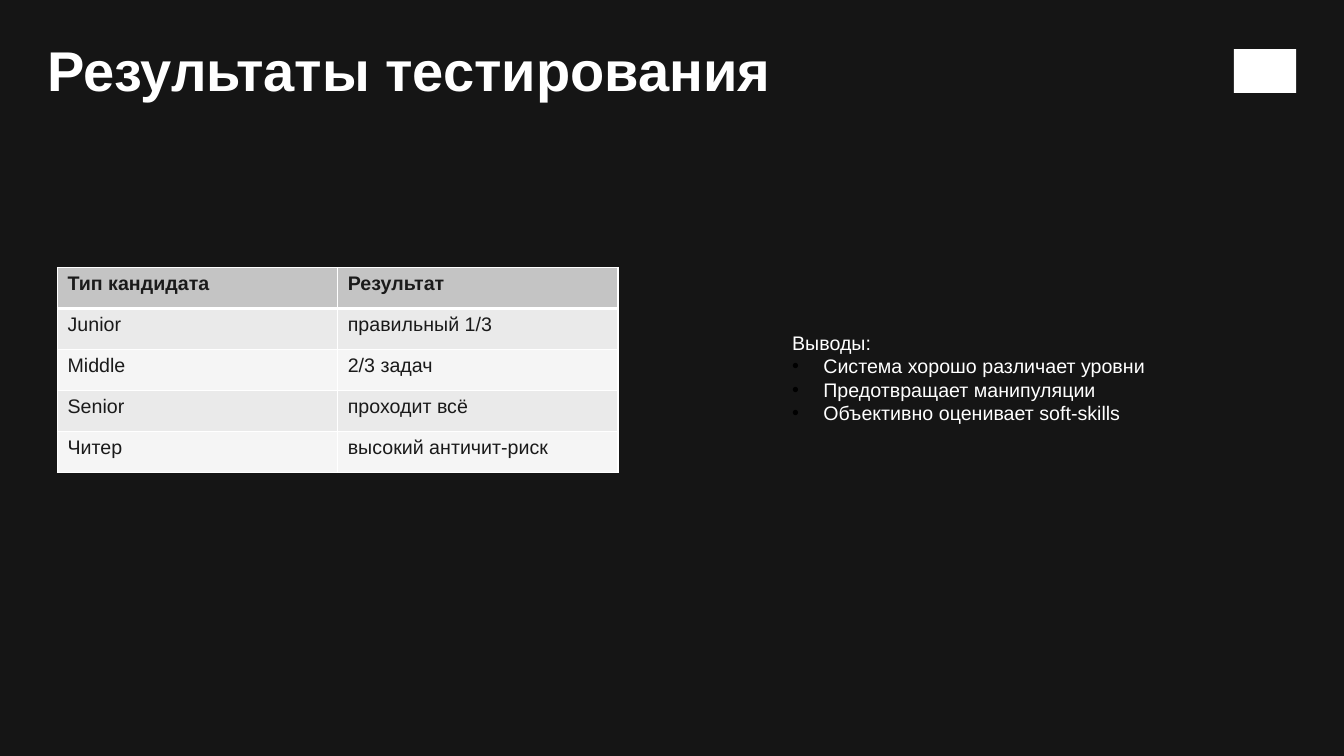
"""Builds the slide with candidate testing results and conclusions."""
import pptx
import pptx.dml.color
import pptx.enum.shapes
import pptx.enum.text
import pptx.oxml.ns
import pptx.util
from lxml import etree

RGBColor = pptx.dml.color.RGBColor
BACKGROUND = RGBColor(0x15, 0x15, 0x15)
WHITE = RGBColor(0xFF, 0xFF, 0xFF)
BLACK = RGBColor(0x00, 0x00, 0x00)
INK = RGBColor(0x1A, 0x1A, 0x1A)
HEADER = RGBColor(0xC4, 0xC4, 0xC4)
BANDS = (RGBColor(0xEA, 0xEA, 0xEA), RGBColor(0xF5, 0xF5, 0xF5))

FONT = "Arial"
WIDTH = pptx.util.Inches(13.33)
HEIGHT = pptx.util.Inches(7.5)

RESULTS = (
    ("Тип кандидата", "Результат"),
    ("Junior", "правильный 1/3"),
    ("Middle", "2/3 задач"),
    ("Senior", "проходит всё"),
    ("Читер", "высокий античит-риск"),
)
CONCLUSIONS = (
    "Система хорошо различает уровни",
    "Предотвращает манипуляции",
    "Объективно оценивает soft-skills",
)


def area(left, top, width, height):
    """Turn percentages of the slide into a position and a size."""
    return (int(WIDTH * left / 100), int(HEIGHT * top / 100),
            int(WIDTH * width / 100), int(HEIGHT * height / 100))


def style(para, size, color, bold=False):
    """Format every run of a paragraph."""
    for span in para.runs:
        span.font.name = FONT
        span.font.size = pptx.util.Pt(size)
        span.font.bold = bold
        span.font.color.rgb = color


def add_child(parent, tag, **attributes):
    """Append a DrawingML element to its parent."""
    return etree.SubElement(parent, pptx.oxml.ns.qn(tag), attributes)


def add_bullet(para, color):
    """Give a paragraph a hanging round bullet."""
    indent = pptx.util.Inches(0.31)
    properties = para._p.get_or_add_pPr()
    properties.set("marL", str(indent))
    properties.set("indent", str(-indent))
    add_child(add_child(properties, "a:buClr"), "a:srgbClr", val=str(color))
    add_child(properties, "a:buFont", typeface=FONT)
    add_child(properties, "a:buChar", char="•")


def add_borders(cell, bottom):
    """Draw white borders with the given bottom width in points."""
    properties = cell._tc.get_or_add_tcPr()
    sides = (("a:lnL", 1), ("a:lnR", 1), ("a:lnT", 1), ("a:lnB", bottom))
    for position, (tag, points) in enumerate(sides):
        line = add_child(properties, tag, w=str(pptx.util.Pt(points)))
        fill = add_child(line, "a:solidFill")
        add_child(fill, "a:srgbClr", val=str(WHITE))
        properties.insert(position, line)


def add_title(page, text):
    """Add the slide heading."""
    box = page.shapes.add_textbox(*area(3.53, 6.4, 63.15, 7.2))
    frame = box.text_frame
    frame.text = text
    frame.word_wrap = True
    frame.vertical_anchor = pptx.enum.text.MSO_ANCHOR.MIDDLE
    frame.margin_left = frame.margin_right = 0
    frame.margin_top = frame.margin_bottom = 0
    para = frame.paragraphs[0]
    para.line_spacing = 0.8
    style(para, 40, WHITE, bold=True)


def add_corner_block(page):
    """Add a plain white block in the top right corner."""
    block = page.shapes.add_shape(
        pptx.enum.shapes.MSO_SHAPE.RECTANGLE, *area(91.8, 6.5, 4.65, 5.8))
    block.shadow.inherit = False
    block.fill.solid()
    block.fill.fore_color.rgb = WHITE
    block.line.fill.background()


def add_results(page, rows):
    """Add the banded table, its first row being the header."""
    grid = page.shapes.add_table(
        len(rows), len(rows[0]), *area(4.28, 35.4, 41.7, 27.1)).table
    for row, values in enumerate(rows):
        header = row == 0
        for column, value in enumerate(values):
            cell = grid.cell(row, column)
            cell.text = value
            cell.fill.solid()
            cell.fill.fore_color.rgb = HEADER if header else BANDS[(row - 1) % 2]
            style(cell.text_frame.paragraphs[0], 14, INK, bold=header)
            add_borders(cell, 3 if header else 1)


def add_conclusions(page, heading, points):
    """Add a heading followed by a bulleted list."""
    box = page.shapes.add_textbox(*area(58.2, 43.07, 28.05, 13.87))
    frame = box.text_frame
    frame.word_wrap = False
    frame.text = "\n".join((heading, *points))
    for para in frame.paragraphs:
        style(para, 14, WHITE)
    for para in frame.paragraphs[1:]:
        add_bullet(para, BLACK)


def main():
    """Build and save the deck."""
    deck = pptx.Presentation()
    deck.slide_width = WIDTH
    deck.slide_height = HEIGHT
    page = deck.slides.add_slide(deck.slide_layouts[6])
    page.background.fill.solid()
    page.background.fill.fore_color.rgb = BACKGROUND
    add_corner_block(page)
    add_title(page, "Результаты тестирования")
    add_results(page, RESULTS)
    add_conclusions(page, "Выводы:", CONCLUSIONS)
    deck.save("out.pptx")


if __name__ == "__main__":
    main()
